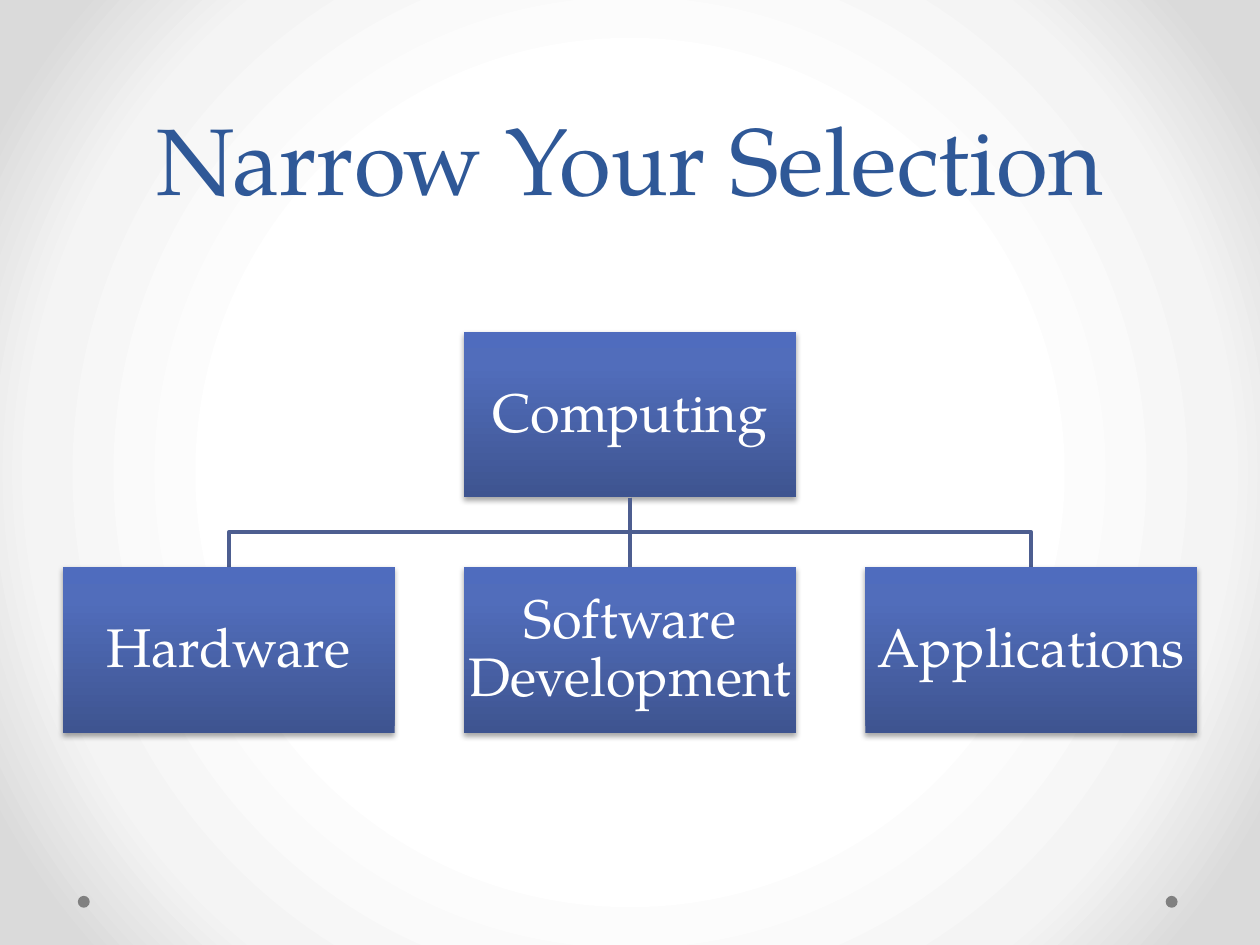
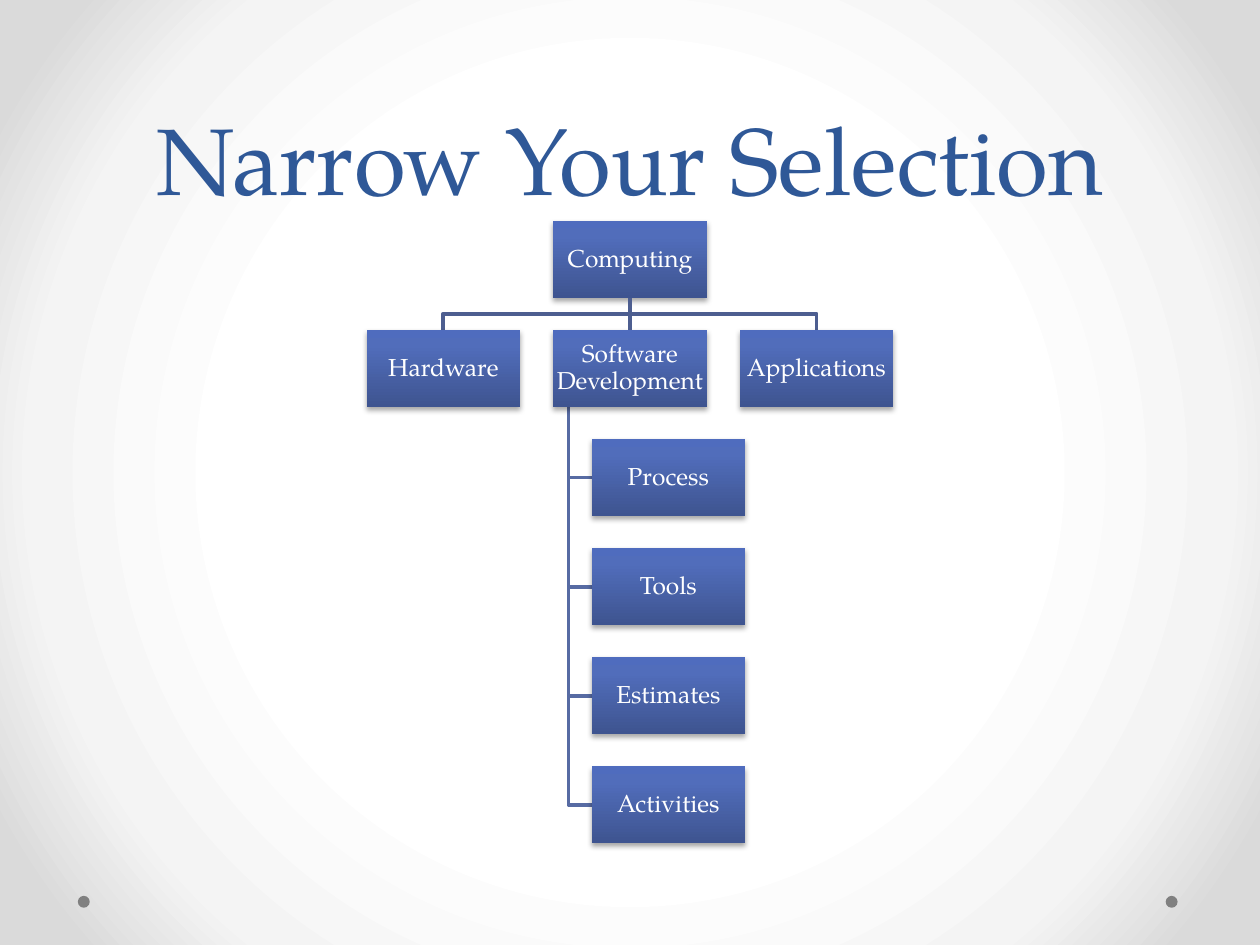
from lxml import etree
from pptx import Presentation
from pptx.dml.color import RGBColor
from pptx.enum.shapes import MSO_CONNECTOR, MSO_SHAPE
from pptx.enum.text import MSO_ANCHOR, PP_ALIGN
from pptx.oxml.ns import qn
from pptx.util import Cm, Pt

FONT = "TeX Gyre Pagella"
TITLE = "Narrow Your Selection"
COLORS = {
    "title": "2F5897",
    "box text": "FFFFFF",
    "branch": "4D5E90",
    "detail branch": "576BA3",
    "dot": "808080",
    "shadow": "000000",
}
BACKGROUND_STOPS = [(50, "FFFFFF"), (76, "F4F4F4"), (92, "DADADA")]
BOX_STOPS = [(0, "3E5490"), (80, "516DBB"), (100, "4F6CBE")]

FIELD = "Computing"
AREAS = ["Hardware", "Software Development", "Applications"]
CENTRE = 12.7  # cm, like every chart length below
CHARTS = [
    {"top": 6.69, "width": 6.69, "height": 3.34, "step_x": 8.09, "step_y": 4.74,
     "size": 31, "inset": 0.05, "details": []},
    {"top": 4.45, "width": 3.1, "height": 1.55, "step_x": 3.76, "step_y": 2.2,
     "size": 14, "inset": 0.03,
     "details": ["Process", "Tools", "Estimates", "Activities"]},
]


def set_gradient(fill, owner, stops, circular=False):
    """Fill owner with stops, from the bottom up or from the centre outwards."""
    fill.gradient()
    gradient = owner.find(".//" + qn("a:gradFill"))
    for child in list(gradient):
        gradient.remove(child)
    stop_list = etree.SubElement(gradient, qn("a:gsLst"))
    for percent, color in stops:
        stop = etree.SubElement(stop_list, qn("a:gs"), pos=str(percent * 1000))
        etree.SubElement(stop, qn("a:srgbClr"), val=color)
    if circular:
        path = etree.SubElement(gradient, qn("a:path"), path="circle")
        etree.SubElement(path, qn("a:fillToRect"), l="50000", t="50000", r="50000", b="50000")
    else:
        etree.SubElement(gradient, qn("a:lin"), ang="16200000", scaled="0")


def add_elbow(slide, points, color):
    corners = [(Cm(x), Cm(y)) for x, y in points]
    builder = slide.shapes.build_freeform(*corners[0])
    builder.add_line_segments(corners[1:], close=False)
    elbow = builder.convert_to_shape()
    elbow.shadow.inherit = False
    elbow.fill.background()
    elbow.line.color.rgb = RGBColor.from_string(color)
    elbow.line.width = Pt(2.25)


prs = Presentation()
prs.slide_width, prs.slide_height = Cm(25.4), Cm(19.05)
master = prs.slide_master
set_gradient(master.background.fill, master.element, BACKGROUND_STOPS, circular=True)
slides = [prs.slides.add_slide(prs.slide_layouts[5]) for chart in CHARTS]

# Both footer dots belong to the master
for number, left in enumerate([23.5, 1.57]):
    dot = slides[0].shapes.add_shape(MSO_SHAPE.OVAL, Cm(left), Cm(18.06), Cm(0.24), Cm(0.24))
    dot.shadow.inherit = False
    dot.fill.solid()
    dot.fill.fore_color.rgb = RGBColor.from_string(COLORS["dot"])
    dot.line.fill.background()
    dot.element.nvSpPr.cNvPr.set("id", str(20 + number))
    master.shapes.element.insert(2 + number, dot.element)

for slide, chart in zip(slides, CHARTS):
    title = slide.shapes.title
    title.left, title.top, title.width, title.height = Cm(1.27), Cm(0), Cm(22.86), Cm(4.45)
    title.text_frame.text = TITLE
    title.text_frame.vertical_anchor = MSO_ANCHOR.BOTTOM
    heading = title.text_frame.paragraphs[0]
    heading.alignment = PP_ALIGN.CENTER
    heading.line_spacing = Pt(58)
    heading.runs[0].font.name = FONT
    heading.runs[0].font.size = Pt(54)
    heading.runs[0].font.color.rgb = RGBColor.from_string(COLORS["title"])

    top, width, height = chart["top"], chart["width"], chart["height"]
    step_x, step_y = chart["step_x"], chart["step_y"]
    left = CENTRE - width / 2
    area_top = top + step_y
    field_bottom = top + height
    fork = (field_bottom + area_top) / 2
    spine = left + 0.1 * width
    detail_left = left + 0.25 * width

    # Outer branches, then the branches down to the details
    for x in (CENTRE + step_x, CENTRE - step_x):
        points = [(CENTRE, field_bottom), (CENTRE, fork), (x, fork), (x, area_top)]
        add_elbow(slide, points, COLORS["branch"])
    boxes = [(FIELD, left, top)]
    for column, area in enumerate(AREAS, start=-1):
        boxes.append((area, left + column * step_x, area_top))
    for row, detail in enumerate(chart["details"], start=1):
        detail_top = area_top + row * step_y
        middle = detail_top + height / 2
        points = [(spine, area_top + height), (spine, middle), (detail_left, middle)]
        add_elbow(slide, points, COLORS["detail branch"])
        boxes.append((detail, detail_left, detail_top))

    topics = {}
    for name, x, y in boxes:
        topic = slide.shapes.add_shape(MSO_SHAPE.RECTANGLE, Cm(x), Cm(y), Cm(width), Cm(height))
        topics[name] = topic
        set_gradient(topic.fill, topic.element, BOX_STOPS)
        topic.line.fill.background()
        topic.shadow.inherit = False
        effects = topic.element.spPr.find(qn("a:effectLst"))
        shadow = etree.SubElement(effects, qn("a:outerShdw"), blurRad=str(Pt(3.1)),
                                  dist=str(Pt(1.8)), dir="5400000", rotWithShape="0")
        shade = etree.SubElement(shadow, qn("a:srgbClr"), val=COLORS["shadow"])
        etree.SubElement(shade, qn("a:alpha"), val="35000")

        frame = topic.text_frame
        frame.text = name
        frame.word_wrap = True
        frame.vertical_anchor = MSO_ANCHOR.MIDDLE
        frame.margin_left = frame.margin_right = Cm(chart["inset"])
        frame.margin_top = frame.margin_bottom = Cm(chart["inset"])
        label = frame.paragraphs[0]
        label.alignment = PP_ALIGN.CENTER
        label.line_spacing = 0.9
        label.runs[0].font.name = FONT
        label.runs[0].font.size = Pt(chart["size"])
        label.runs[0].font.color.rgb = RGBColor.from_string(COLORS["box text"])

    trunk = slide.shapes.add_connector(MSO_CONNECTOR.STRAIGHT, Cm(CENTRE), Cm(field_bottom),
                                       Cm(CENTRE), Cm(area_top))
    trunk.begin_connect(topics[FIELD], 2)
    trunk.end_connect(topics[AREAS[1]], 0)
    trunk.line.color.rgb = RGBColor.from_string(COLORS["branch"])
    trunk.line.width = Pt(2.25)
    etree.SubElement(trunk.element.spPr, qn("a:effectLst"))

prs.save("out.pptx")
